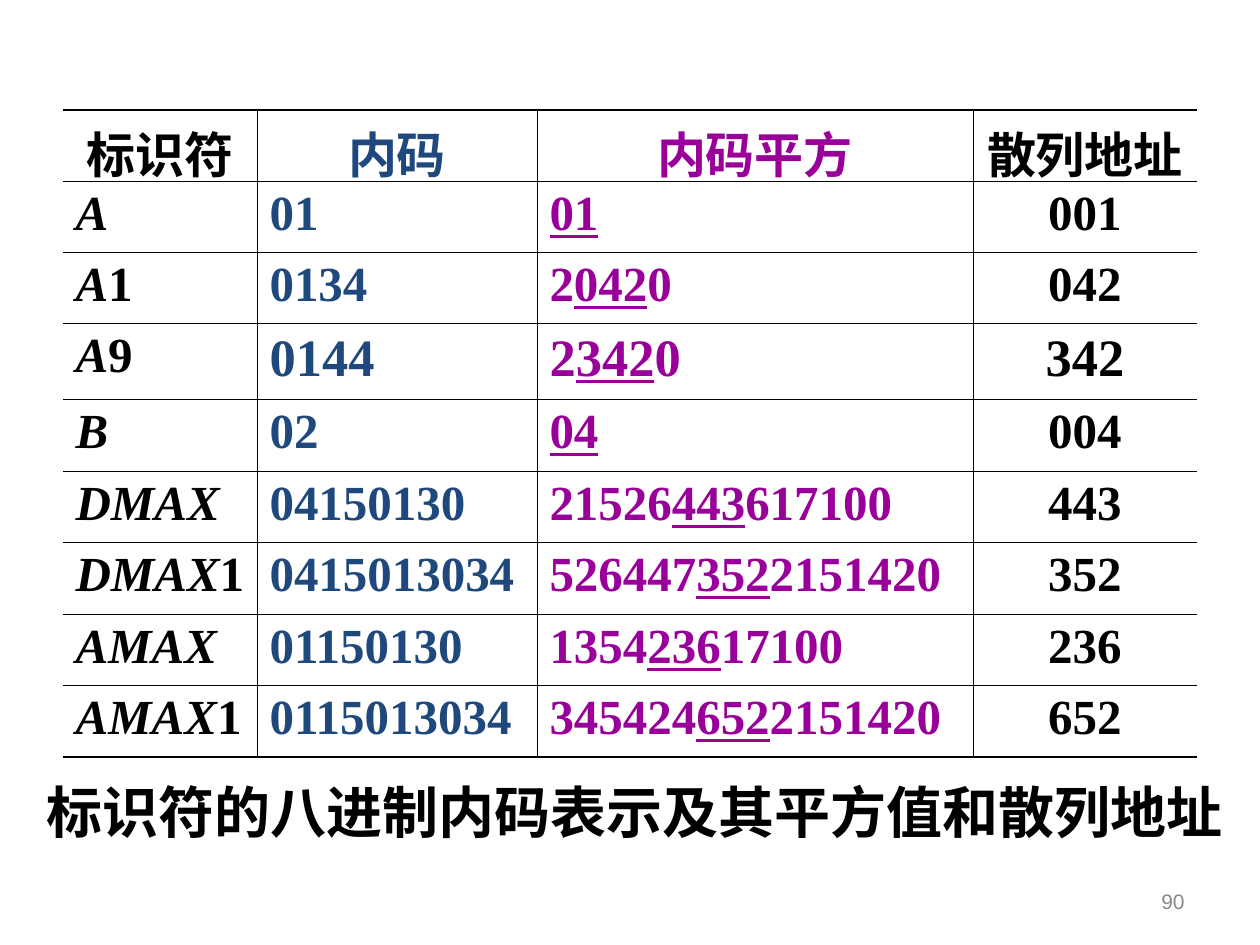
from lxml.etree import SubElement
from pptx import Presentation
from pptx.dml.color import RGBColor
from pptx.enum.text import MSO_ANCHOR, PP_ALIGN
from pptx.oxml.ns import qn
from pptx.util import Pt

# Content: underscores enclose the marked part of a value
HEADERS = ["标识符", "内码", "内码平方", "散列地址"]
ROWS = [
    ("_A_", "01", "_01_", "001"),
    ("_A_1", "0134", "2_042_0", "042"),
    ("_A_9", "0144", "2_342_0", "342"),
    ("_B_", "02", "_04_", "004"),
    ("_DMAX_", "04150130", "21526_443_617100", "443"),
    ("_DMAX_1", "0415013034", "526447_352_2151420", "352"),
    ("_AMAX_", "01150130", "1354_236_17100", "236"),
    ("_AMAX_1", "0115013034", "345424_652_2151420", "652"),
]
CAPTION = "标识符的八进制内码表示及其平方值和散列地址"
PAGE_NUMBER = "90"

COLORS = {"black": "000000", "code": "1F497D", "square": "990099", "number": "898989"}
COLUMN_COLORS = ["black", "code", "square", "black"]
COLUMN_WIDTHS = [194, 280, 436, 224]
ROW_HEIGHTS = [71, 71, 71, 76, 72, 71, 72, 71, 72]
TABLE_LEFT, TABLE_TOP = 63, 110
HEADER_MARGIN = 7
LARGE_ROW = 3
THIN, THICK = 0.45, 1.08


def px(value):
    return round(value * 914400 / 126)


def style(span, size, color, name, bold=False):
    span.font.size = Pt(size)
    span.font.bold = bold
    span.font.name = name
    span.font.color.rgb = RGBColor.from_string(COLORS[color])


def set_borders(cell, widths):
    properties = cell._tc.get_or_add_tcPr()
    for index, (side, width) in enumerate(zip("LRTB", widths)):
        line = SubElement(properties, qn(f"a:ln{side}"), w=str(Pt(width)))
        if width:
            fill = SubElement(line, qn("a:solidFill"))
            SubElement(fill, qn("a:srgbClr"), val=COLORS["black"])
        else:
            SubElement(line, qn("a:noFill"))
        properties.insert(index, line)


def fill_cell(cell, text, row, column):
    para = cell.text_frame.paragraphs[0]
    centred = row == 0 or column == len(HEADERS) - 1
    para.alignment = PP_ALIGN.CENTER if centred else PP_ALIGN.LEFT
    size = 30 if row == LARGE_ROW and column > 0 else 28
    for index, part in enumerate(text.split("_")):
        if not part:
            continue
        span = para.add_run()
        span.text = part
        style(span, size, COLUMN_COLORS[column], "Times New Roman", bold=True)
        if index % 2:
            if column == 0:
                span.font.italic = True
            else:
                span.font.underline = True
    if row == 0:
        # Tall header glyphs sit close to the line below
        cell.margin_top = px(HEADER_MARGIN)
        cell.margin_bottom = px(-HEADER_MARGIN)


def add_text(page, frame, text, size, color, bold=False):
    box = page.shapes.add_textbox(*map(px, frame))
    box.text_frame.word_wrap = True
    para = box.text_frame.paragraphs[0]
    para.text = text
    style(para.runs[0], size, color, "Arial", bold)
    return box


def add_table(page):
    lines = [HEADERS, *ROWS]
    frame = page.shapes.add_table(
        len(lines), len(HEADERS), px(TABLE_LEFT), px(TABLE_TOP),
        px(sum(COLUMN_WIDTHS)), px(sum(ROW_HEIGHTS)))
    table = frame.table
    table.first_row = table.horz_banding = False
    for column, width in zip(table.columns, COLUMN_WIDTHS):
        column.width = px(width)
    last_row, last_column = len(lines) - 1, len(HEADERS) - 1
    for row, line in enumerate(lines):
        table.rows[row].height = px(ROW_HEIGHTS[row])
        for column, text in enumerate(line):
            cell = table.cell(row, column)
            fill_cell(cell, text, row, column)
            cell.fill.background()
            set_borders(cell, (
                THIN if column > 0 else 0,
                THIN if column < last_column else 0,
                THIN if row > 0 else THICK,
                THIN if row < last_row else THICK))


def main():
    deck = Presentation()
    deck.slide_width, deck.slide_height = px(1260), px(945)
    page = deck.slides.add_slide(deck.slide_layouts[6])

    # Table of identifiers
    add_table(page)

    # Page number
    number = add_text(page, (903, 876, 294, 50), PAGE_NUMBER, 12, "number")
    number.text_frame.vertical_anchor = MSO_ANCHOR.MIDDLE
    number.text_frame.paragraphs[0].alignment = PP_ALIGN.RIGHT

    # Caption under the table
    add_text(page, (34, 771, 1212, 81), CAPTION, 32, "black", bold=True)

    deck.save("out.pptx")


if __name__ == "__main__":
    main()
